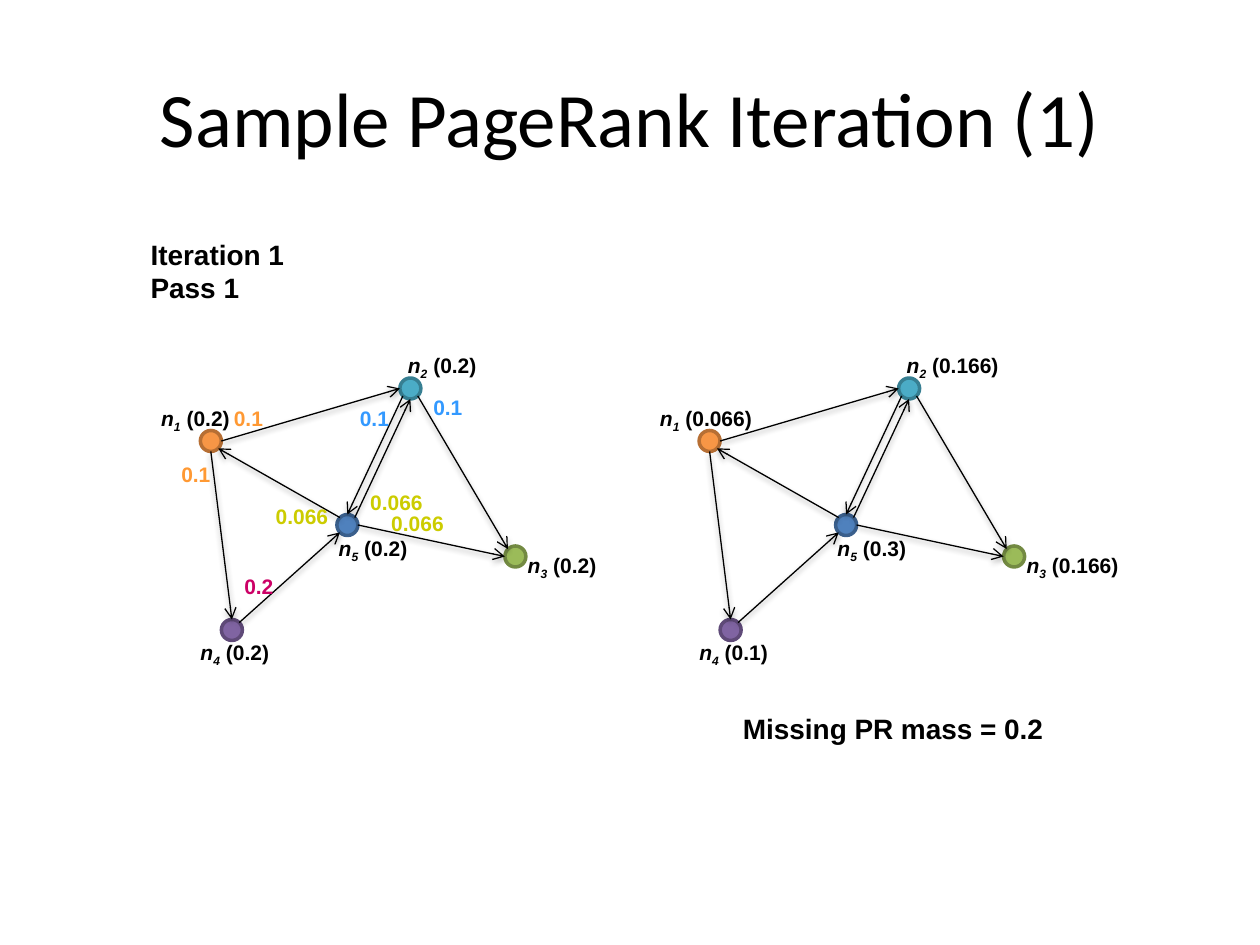
"""Build a slide showing the first pass of a PageRank iteration on two graphs."""
from math import cos, radians, sin
from typing import Any, NamedTuple

from pptx import Presentation
from pptx.dml.color import RGBColor
from pptx.enum.shapes import MSO_CONNECTOR as Connector, MSO_SHAPE as Preset
from pptx.enum.text import MSO_AUTO_SIZE as AutoSize, MSO_VERTICAL_ANCHOR as Anchor, PP_ALIGN as Align
from pptx.oxml import parse_xml
from pptx.oxml.ns import nsdecls, qn
from pptx.util import Pt

BLACK = RGBColor(0x00, 0x00, 0x00)
ORANGE = RGBColor(0xFF, 0x99, 0x33)
BLUE = RGBColor(0x33, 0x99, 0xFF)
PINK = RGBColor(0xCC, 0x00, 0x66)
YELLOW = RGBColor(0xCC, 0xCC, 0x00)
NODE_SIZE = 12
GRAPH_OFFSET = 285
LABEL_FORMAT = {"name": "Arial", "size": Pt(12), "bold": True}
CAPTION_FORMAT = {"name": "Arial", "size": Pt(16), "bold": True}
TITLE_FORMAT = {"name": "Calibri", "size": Pt(44)}
SHADOW = (
    f'<a:effectLst {nsdecls("a")}><a:outerShdw blurRad="40000" dist="20000" dir="5400000" rotWithShape="0">'
    '<a:srgbClr val="000000"><a:alpha val="38000"/></a:srgbClr></a:outerShdw></a:effectLst>'
)


class Node(NamedTuple):
    x: float
    y: float
    fill: RGBColor
    outline: RGBColor
    label_left: float
    label_top: float


class Edge(NamedTuple):
    start: int
    start_angle: int
    end: int
    end_angle: int


class Mass(NamedTuple):
    text: str
    left: float
    top: float
    width: float
    color: RGBColor


NODES = {
    1: Node(120.5, 252, RGBColor(0xF7, 0x96, 0x46), RGBColor(0xB7, 0x6F, 0x34), 85, 228),
    2: Node(234.5, 222, RGBColor(0x4B, 0xAC, 0xC6), RGBColor(0x37, 0x7F, 0x92), 226, 198),
    4: Node(132.5, 360, RGBColor(0x80, 0x64, 0xA2), RGBColor(0x5F, 0x4A, 0x78), 107.5, 362),
    3: Node(294.5, 318, RGBColor(0x9B, 0xBB, 0x59), RGBColor(0x73, 0x8A, 0x42), 294.5, 312),
    5: Node(198.5, 300, RGBColor(0x4F, 0x81, 0xBD), RGBColor(0x3A, 0x5F, 0x8C), 186.5, 302.5),
}
EDGES = [
    Edge(1, 0, 2, 180),
    Edge(5, 225, 1, 45),
    Edge(1, 90, 4, 270),
    Edge(4, 315, 5, 135),
    Edge(5, 315, 2, 90),
    Edge(2, 45, 3, 225),
    Edge(5, 0, 3, 180),
    Edge(2, 135, 5, 270),
]
MASSES = [
    Mass("0.1", 126.5, 228, 32, ORANGE),
    Mass("0.1", 96.5, 260, 32, ORANGE),
    Mass("0.2", 132.5, 324, 32, PINK),
    Mass("0.1", 198.5, 228, 32, BLUE),
    Mass("0.1", 240.5, 222, 32, BLUE),
    Mass("0.066", 150.5, 284, 45, YELLOW),
    Mass("0.066", 216.5, 288, 45, YELLOW),
    Mass("0.066", 204.5, 276, 45, YELLOW),
]
SCORES_BEFORE = {1: "0.2", 4: "0.2", 3: "0.2", 5: "0.2", 2: "0.2"}
SCORES_AFTER = {1: "0.066", 4: "0.1", 3: "0.166", 5: "0.3", 2: "0.166"}


def add_run(paragraph: Any, text: str, formats: dict[str, Any], color: RGBColor = BLACK) -> Any:
    run = paragraph.add_run()
    run.text = text
    for name, value in formats.items():
        setattr(run.font, name, value)
    run.font.color.rgb = color
    return run


def add_text_frame(shapes: Any, left: float, top: float, width: float, height: float) -> Any:
    text_frame = shapes.add_textbox(Pt(left), Pt(top), Pt(width), Pt(height)).text_frame
    text_frame.word_wrap = False
    text_frame.auto_size = AutoSize.SHAPE_TO_FIT_TEXT
    return text_frame


def add_caption(shapes: Any, lines: list[str], left: float, top: float, width: float, height: float) -> None:
    text_frame = add_text_frame(shapes, left, top, width, height)
    for index, line in enumerate(lines):
        paragraph = text_frame.add_paragraph() if index else text_frame.paragraphs[0]
        add_run(paragraph, line, CAPTION_FORMAT)


def add_node(shapes: Any, node: Node, offset: float) -> None:
    radius = NODE_SIZE / 2
    shape = shapes.add_shape(
        Preset.OVAL, Pt(node.x - radius + offset), Pt(node.y - radius), Pt(NODE_SIZE), Pt(NODE_SIZE)
    )
    shape.shadow.inherit = False
    shape.fill.solid()
    shape.fill.fore_color.rgb = node.fill
    shape.line.color.rgb = node.outline
    shape.line.width = Pt(2)


def rim_point(node: Node, angle: int, offset: float) -> tuple[Pt, Pt]:
    radius = NODE_SIZE / 2
    return (
        Pt(node.x + radius * cos(radians(angle)) + offset),
        Pt(node.y + radius * sin(radians(angle))),
    )


def add_edge(shapes: Any, edge: Edge, offset: float) -> None:
    start = rim_point(NODES[edge.start], edge.start_angle, offset)
    end = rim_point(NODES[edge.end], edge.end_angle, offset)
    connector = shapes.add_connector(Connector.STRAIGHT, *start, *end)
    connector.line.color.rgb = BLACK
    connector.line.width = Pt(0.75)
    properties = connector.element.spPr
    properties.find(qn("a:ln")).append(parse_xml(f'<a:tailEnd {nsdecls("a")} type="arrow"/>'))
    properties.append(parse_xml(SHADOW))


def add_label(shapes: Any, number: int, score: str, offset: float) -> None:
    node = NODES[number]
    width = 68 if len(score) > 3 else 56
    text_frame = add_text_frame(shapes, node.label_left + offset, node.label_top, width, 21.8)
    paragraph = text_frame.paragraphs[0]
    italic_format = LABEL_FORMAT | {"italic": True}
    add_run(paragraph, "n", italic_format)
    subscript = add_run(paragraph, str(number), italic_format)
    subscript.font._element.set("baseline", "-25000")
    add_run(paragraph, f" ({score})", LABEL_FORMAT)


def add_graph(shapes: Any, scores: dict[int, str], offset: float = 0) -> None:
    for node in NODES.values():
        add_node(shapes, node, offset)
    for edge in EDGES:
        add_edge(shapes, edge, offset)
    for number, score in scores.items():
        add_label(shapes, number, score, offset)


def add_mass(shapes: Any, mass: Mass) -> None:
    text_frame = add_text_frame(shapes, mass.left, mass.top, mass.width, 21.8)
    add_run(text_frame.paragraphs[0], mass.text, LABEL_FORMAT, mass.color)


def add_title(slide: Any, text: str) -> None:
    title = slide.shapes.title
    placement = {"left": Pt(36), "top": Pt(21.6), "width": Pt(648), "height": Pt(90)}
    for name, value in placement.items():
        setattr(title, name, value)
    title.text_frame.vertical_anchor = Anchor.MIDDLE
    paragraph = title.text_frame.paragraphs[0]
    paragraph.alignment = Align.CENTER
    add_run(paragraph, text, TITLE_FORMAT)


def main() -> None:
    presentation = Presentation()
    presentation.slide_width = Pt(720)
    presentation.slide_height = Pt(540)
    slide = presentation.slides.add_slide(presentation.slide_layouts[5])
    add_title(slide, "Sample PageRank Iteration (1)")
    add_graph(slide.shapes, SCORES_BEFORE)
    for mass in MASSES:
        add_mass(slide.shapes, mass)
    add_graph(slide.shapes.add_group_shape().shapes, SCORES_AFTER, GRAPH_OFFSET)
    add_caption(slide.shapes, ["Iteration 1", "Pass 1"], 79, 132, 92, 46)
    add_caption(slide.shapes, ["Missing PR mass = 0.2"], 417.5, 403, 188.5, 26.6)
    presentation.save("out.pptx")


if __name__ == "__main__":
    main()
